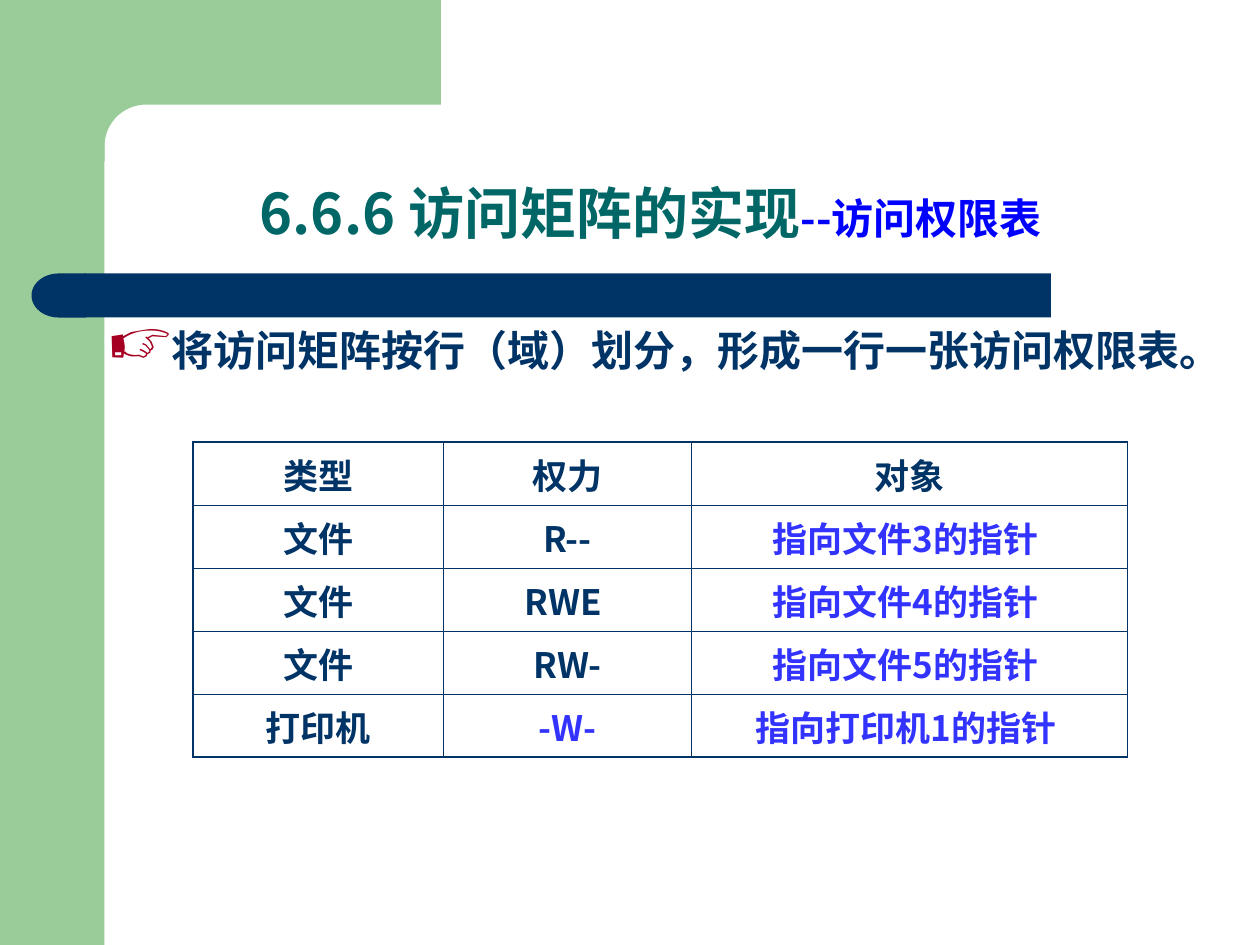
import math
from lxml import etree
from pptx import Presentation
from pptx.dml.color import RGBColor
from pptx.enum import shapes, text
from pptx.oxml.ns import qn
from pptx.util import Inches, Pt

GREEN, NAVY, BLUE = "99CC99", "003366", "3333FF"
NOTO, ARIAL = "Noto Sans CJK SC", "Arial"


def paint(shape, color):
    shape.shadow.inherit = False
    shape.fill.solid()
    shape.fill.fore_color.rgb = RGBColor.from_string(color)
    shape.line.fill.background()


def style(span, size, face, color):
    """Format a bold run, with its East Asian font."""
    font = span.font
    font.size, font.name, font.bold = Pt(size), face, True
    font.color.rgb = RGBColor.from_string(color)
    latin = font._element.find(qn("a:latin"))
    east = etree.Element(qn("a:ea"), typeface=NOTO)
    latin.addnext(east)


deck = Presentation()
deck.slide_width, deck.slide_height = Inches(10), Inches(7.5)
page = deck.slides.add_slide(deck.slide_layouts[5])

# Green frame with a rounded inner corner
kind = shapes.MSO_SHAPE
side_band = page.shapes.add_shape(kind.RECTANGLE, 0, 0, Inches(0.83), Inches(7.5))
paint(side_band, GREEN)
radius, center = 0.33, 1.16
arc = [(center - radius * math.sin(math.radians(a)),
        center - radius * math.cos(math.radians(a))) for a in range(0, 91, 6)]
outline = [(3.5, 0), (3.5, 0.83), *arc, (0.83, 1.28), (0.5, 1.28)]
builder = page.shapes.build_freeform(Inches(0.5), 0)
builder.add_line_segments([(Inches(x), Inches(y)) for x, y in outline])
paint(builder.convert_to_shape(), GREEN)

# Navy bar with a rounded left end
bar = page.shapes.add_shape(
    kind.RECTANGLE, Inches(0.67), Inches(2.17), Inches(7.67), Inches(0.35))
paint(bar, NAVY)
bar_end = page.shapes.add_shape(
    kind.FLOWCHART_DELAY, Inches(0.25), Inches(2.17), Inches(0.43), Inches(0.35))
bar_end.rotation = 180
paint(bar_end, NAVY)

# Title
title = page.shapes.title
title.left, title.top = Inches(0.91), Inches(0.92)
title.width, title.height = Inches(8.51), Inches(1.09)
frame = title.text_frame
frame.auto_size = text.MSO_AUTO_SIZE.NONE
frame.vertical_anchor = text.MSO_ANCHOR.BOTTOM
para = frame.paragraphs[0]
para.alignment, para.line_spacing = text.PP_ALIGN.CENTER, 0.9
for words, size, face, color in [("6.6.6 ", 32, NOTO, "006666"),
                                 ("访问矩阵的实现", 32, ARIAL, "006666"),
                                 ("--访问权限表", 24, NOTO, "0000FF")]:
    span = para.add_run()
    span.text = words
    style(span, size, face, color)

# Bulleted statement
box = page.shapes.add_textbox(Inches(0.75), Inches(2.6), Inches(8.75), Inches(0.79))
box.text_frame.word_wrap = True
para = box.text_frame.paragraphs[0]
para.text = "将访问矩阵按行（域）划分，形成一行一张访问权限表。"
para.line_spacing = 0.82
props = para._p.get_or_add_pPr()
props.set("marL", str(Inches(0.38)))
props.set("indent", str(-Inches(0.38)))
bullet_color = etree.SubElement(props, qn("a:buClr"))
etree.SubElement(bullet_color, qn("a:srgbClr"), val="A50021")
etree.SubElement(props, qn("a:buSzPct"), val="155000")
etree.SubElement(props, qn("a:buChar"), char="☞")
style(para.runs[0], 24, ARIAL, NAVY)

# Access rights table
rows = [("类型", "权力", "对象"),
        ("文件", "R--", "指向文件3的指针 "),
        ("文件", "RWE ", "指向文件4的指针 "),
        ("文件", "RW-", "指向文件5的指针 "),
        ("打印机", "-W-", "指向打印机1的指针 ")]
widths = [1.99, 1.97, 3.46]
table = page.shapes.add_table(len(rows), len(widths), Inches(1.53), Inches(3.51),
                              Inches(sum(widths)), Inches(2.5)).table
table.first_row = table.horz_banding = False
for column, width in zip(table.columns, widths):
    column.width = Inches(width)
last_row, last_col = len(rows) - 1, len(widths) - 1
for r, row in enumerate(rows):
    table.rows[r].height = Inches(0.5)
    for c, words in enumerate(row):
        cell = table.cell(r, c)
        cell.text = words
        para = cell.text_frame.paragraphs[0]
        para.alignment = text.PP_ALIGN.CENTER
        is_blue = (r > 0 and c == last_col) or (r == last_row and c == 1)
        style(para.runs[0], 20, NOTO, BLUE if is_blue else NAVY)
        cell_props = cell._tc.get_or_add_tcPr()
        for tag, outer in [("a:lnL", c == 0), ("a:lnR", c == last_col),
                           ("a:lnT", r == 0), ("a:lnB", r == last_row)]:
            edge = etree.SubElement(cell_props, qn(tag),
                                    w=str(Pt(1.08 if outer else 0.45)))
            edge_fill = etree.SubElement(edge, qn("a:solidFill"))
            etree.SubElement(edge_fill, qn("a:srgbClr"), val=NAVY)
        cell.fill.background()

deck.save("out.pptx")
